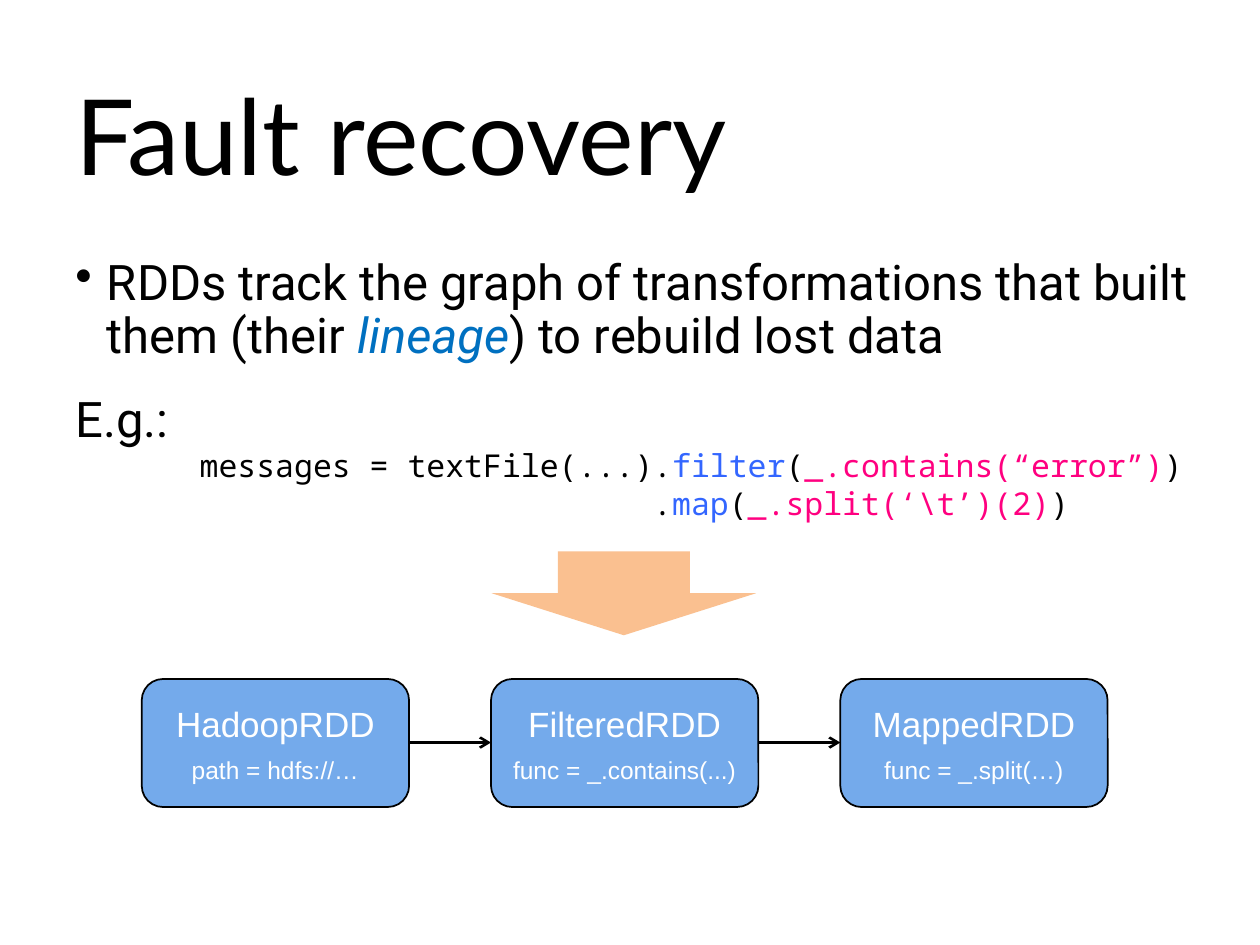
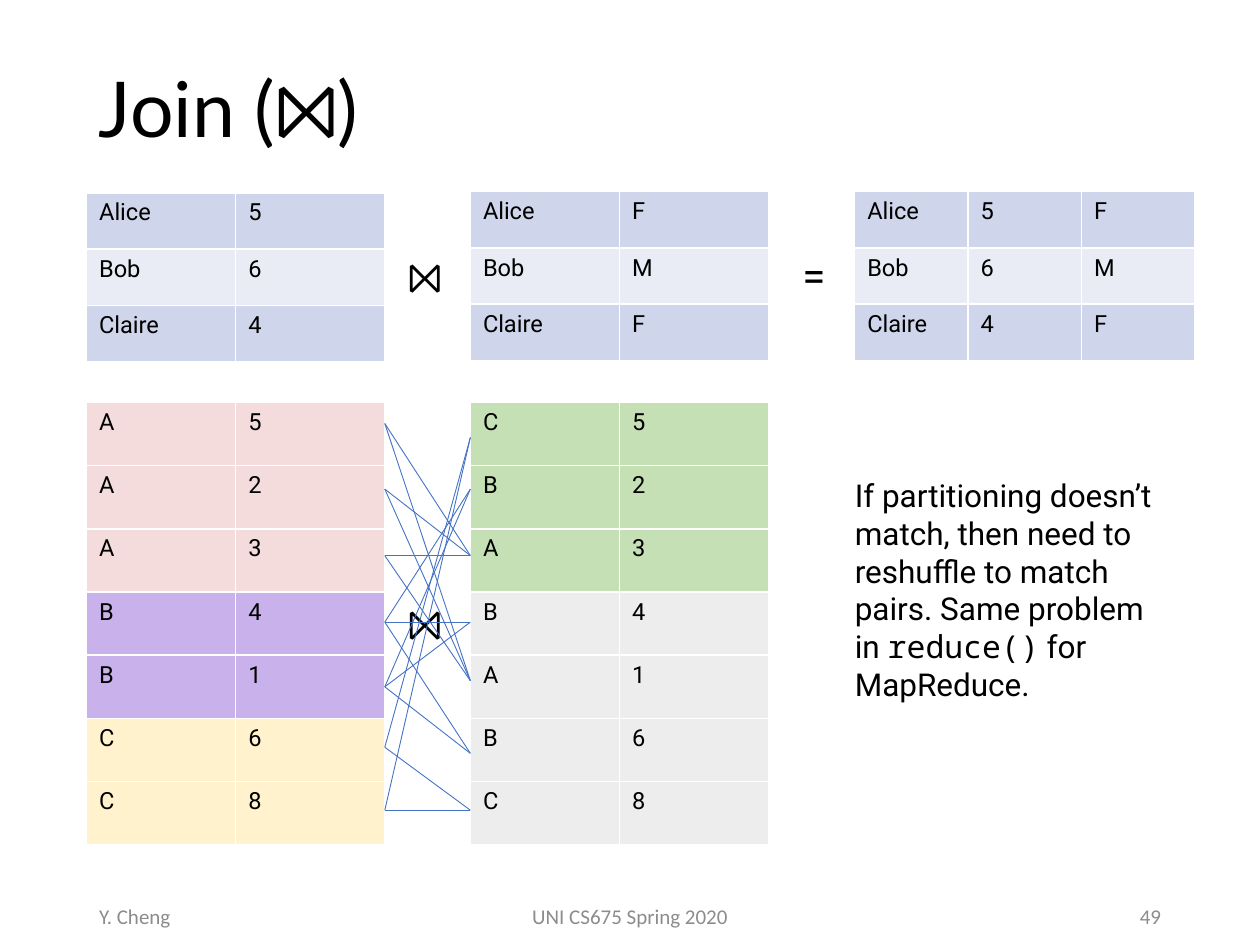
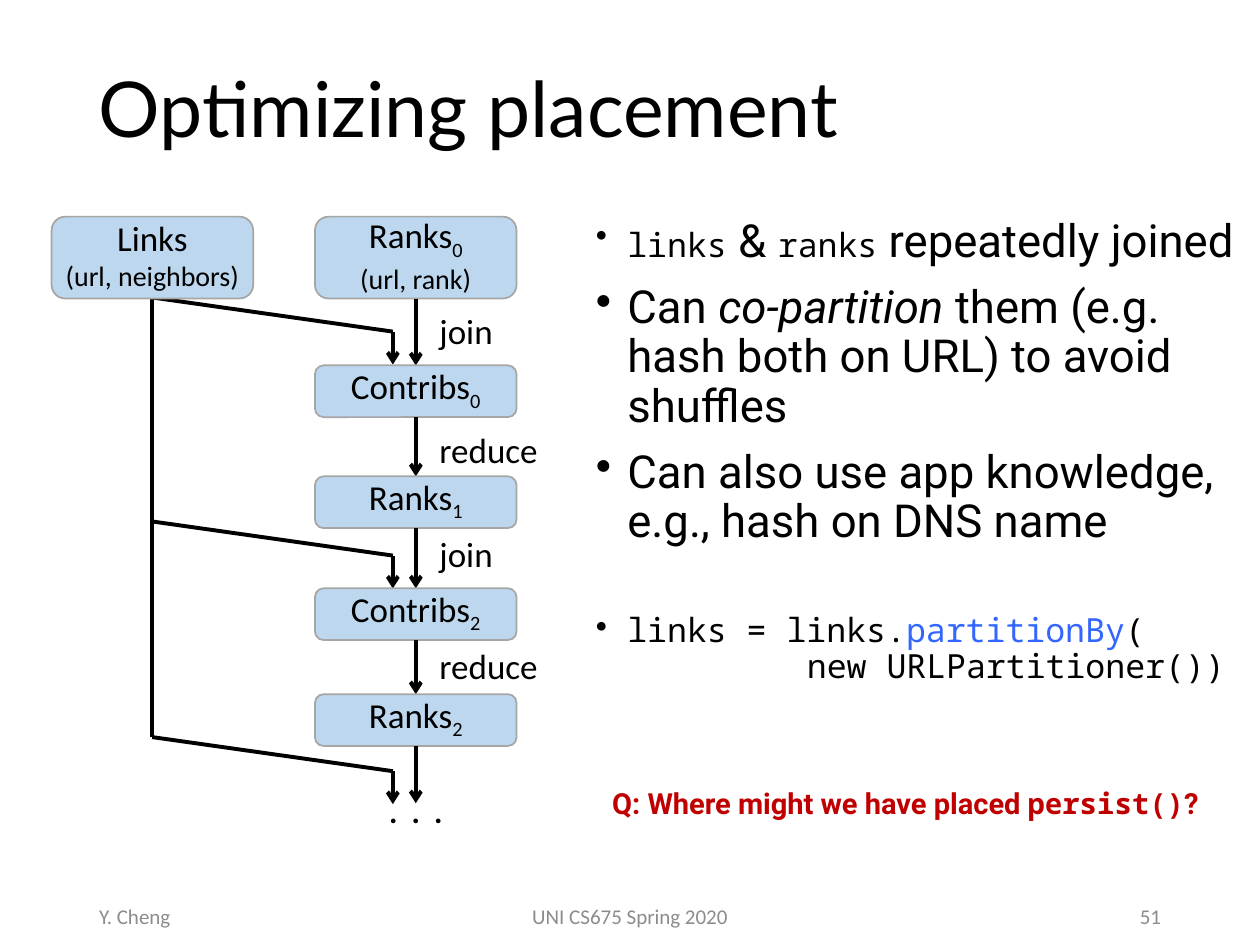
from dataclasses import dataclass
from typing import Optional

from lxml import etree
from pptx import Presentation
from pptx.dml.color import RGBColor
from pptx.enum.shapes import MSO_CONNECTOR, MSO_SHAPE
from pptx.enum.text import MSO_ANCHOR, PP_ALIGN
from pptx.oxml.ns import qn
from pptx.util import Pt

ROUNDED, DOWN_ARROW = MSO_SHAPE.ROUNDED_RECTANGLE, MSO_SHAPE.DOWN_ARROW
STRAIGHT = MSO_CONNECTOR.STRAIGHT
TOP, MIDDLE = MSO_ANCHOR.TOP, MSO_ANCHOR.MIDDLE
LEFT, CENTER, RIGHT = PP_ALIGN.LEFT, PP_ALIGN.CENTER, PP_ALIGN.RIGHT

COLORS = {
    "black": "000000", "white": "FFFFFF", "footer": "8C8C8C",
    "lineage": "0070C0", "method": "3366FF", "argument": "FF0080",
    "question": "C00000", "arrow": "FAC090", "dataset": "74AAEB",
    "stage": "BDD7EE", "stage_edge": "A6A6A6", "match": "4472C4",
    "band_dark": "CFD5EA", "band_light": "E9EBF5",
    "pink": "F3DCDB", "purple": "C9B2EC", "yellow": "FFF2CC",
    "green": "C5E0B4", "gray": "EDEDED",
}
HEADING, BODY, CODE, DIAGRAM, LABEL = (
    "Lato", "Roboto", "Noto Sans Mono", "Calibri", "Arial")
MONO_ADVANCE = 0.6
HANG = 18
DEFAULT_INSETS = (7.2, 3.6, 7.2, 3.6)
JOIN_SIGN = "\u2a1d"


@dataclass
class Span:
    """A stretch of text; empty fields follow the paragraph."""
    text: str
    color: Optional[str] = None
    font: Optional[str] = None
    size: Optional[float] = None
    italic: Optional[bool] = None
    baseline: int = 0
    tracking: float = 0


@dataclass
class Para:
    """A paragraph of spans with its shared look."""
    spans: list
    size: float
    font: str = BODY
    color: str = "black"
    bold: bool = False
    align: int = LEFT
    before: float = 0
    spacing: float = 1
    indent: float = 0
    bullet: bool = False


def rgb(name):
    """Look up a palette colour."""
    return RGBColor.from_string(COLORS[name])


def write_span(paragraph, span):
    """Add one run and set only what differs from its paragraph."""
    run = paragraph.add_run()
    run.text = span.text
    if span.color:
        run.font.color.rgb = rgb(span.color)
    if span.font:
        run.font.name = span.font
    if span.size:
        run.font.size = Pt(span.size)
    if span.italic:
        run.font.italic = True
    if span.baseline:
        run.font._element.set("baseline", str(span.baseline * 1000))
    if span.tracking:
        run.font._element.set("spc", str(int(span.tracking * 100)))


def write_paragraph(paragraph, para):
    """Format a paragraph and write its spans."""
    properties = paragraph._p.get_or_add_pPr()
    if para.bullet:
        properties.set("marL", str(Pt(HANG)))
        properties.set("indent", str(-Pt(HANG)))
        etree.SubElement(properties, qn("a:buChar"), char="•")
    elif para.indent:
        properties.set("marL", str(Pt(para.indent)))
    paragraph.alignment = para.align
    paragraph.line_spacing = para.spacing
    paragraph.space_before = Pt(para.before)
    paragraph.font.name = para.font
    paragraph.font.size = Pt(para.size)
    paragraph.font.bold = para.bold
    paragraph.font.color.rgb = rgb(para.color)
    for span in para.spans:
        write_span(paragraph, span)


def write_frame(frame, paras, anchor=TOP, insets=DEFAULT_INSETS, wrap=True):
    """Fill a text frame with paragraphs."""
    frame.word_wrap = wrap
    frame.vertical_anchor = anchor
    (frame.margin_left, frame.margin_top,
     frame.margin_right, frame.margin_bottom) = map(Pt, insets)
    for index, para in enumerate(paras):
        paragraph = frame.add_paragraph() if index else frame.paragraphs[0]
        write_paragraph(paragraph, para)


def add_text(page, bounds, paras, anchor=TOP, wrap=True):
    """Add a text box."""
    box = page.shapes.add_textbox(*map(Pt, bounds))
    write_frame(box.text_frame, paras, anchor, wrap=wrap)


def add_block(page, kind, bounds, fill, edge=None, paras=(),
              insets=DEFAULT_INSETS):
    """Add a filled preset shape with optional edge and text."""
    block = page.shapes.add_shape(kind, *map(Pt, bounds))
    block.shadow.inherit = False
    block.fill.solid()
    block.fill.fore_color.rgb = rgb(fill)
    if edge:
        block.line.color.rgb = rgb(edge)
        block.line.width = Pt(1)
    else:
        block.line.fill.background()
    write_frame(block.text_frame, paras, MIDDLE, insets)


def add_line(page, start, end, width, color="black", arrow=False):
    """Add a straight line, with an open arrowhead at its end if asked."""
    line = page.shapes.add_connector(STRAIGHT, *map(Pt, (*start, *end)))
    line.line.color.rgb = rgb(color)
    line.line.width = Pt(width)
    if arrow:
        etree.SubElement(line.line._get_or_add_ln(), qn("a:tailEnd"),
                         type="arrow")
    etree.SubElement(line._element.spPr, qn("a:effectLst"))


def set_cell_borders(cell):
    """Draw thin white borders around a cell."""
    properties = cell._tc.get_or_add_tcPr()
    for position, side in enumerate(("lnL", "lnR", "lnT", "lnB")):
        border = etree.Element(qn(f"a:{side}"), w=str(Pt(1)))
        fill = etree.SubElement(border, qn("a:solidFill"))
        etree.SubElement(fill, qn("a:srgbClr"), val=COLORS["white"])
        properties.insert(position, border)


def add_grid(page, left, top, column_width, row_height, rows, fills):
    """Add a table with one fill for each row."""
    columns = len(rows[0])
    table = page.shapes.add_table(
        len(rows), columns, Pt(left), Pt(top),
        Pt(column_width * columns), Pt(row_height * len(rows))).table
    table.first_row = table.horz_banding = False
    for column in table.columns:
        column.width = Pt(column_width)
    for row, values, fill in zip(table.rows, rows, fills):
        row.height = Pt(row_height)
        for cell, value in zip(row.cells, values):
            cell.fill.solid()
            cell.fill.fore_color.rgb = rgb(fill)
            set_cell_borders(cell)
            write_paragraph(cell.text_frame.paragraphs[0],
                            Para([Span(value)], 13.5))


def add_title(page, text, bounds=(49.5, 12, 621, 104.4), size=44):
    """Add the slide title."""
    title = Para([Span(text)], size, HEADING, spacing=0.9)
    add_text(page, bounds, [title], MIDDLE)


def add_footer(page, number):
    """Add author, course and page number."""
    for left, width, text, align in (
            (49.5, 162, "Y. Cheng", LEFT),
            (238.5, 243, "UNI CS675 Spring 2020", CENTER),
            (508.5, 162, number, RIGHT)):
        add_text(page, (left, 509, width, 28.8),
                 [Para([Span(text)], 12, DIAGRAM, "footer", align=align)],
                 MIDDLE)


def build_recovery(page):
    """Slide on lineage and fault recovery."""
    add_block(page, DOWN_ARROW, (281, 315, 151, 48), "arrow")
    add_text(page, (36, 144, 653.8, 179.3), [
        Para([Span("RDDs track the graph of transformations that built "
                   "them (their "),
              Span("lineage", "lineage", italic=True),
              Span(") to rebuild lost data")],
             28, before=18, spacing=0.9, bullet=True),
        Para([Span("E.g.:")], 28, before=18, spacing=0.9),
    ])
    add_text(page, (107, 251.3, 584, 72.7), [
        Para([Span("messages = textFile(...)."), Span("filter", "method"),
              Span("("), Span("_.contains(“error”)", "argument"), Span(")")],
             18, CODE),
        Para([Span("."), Span("map", "method"), Span("("),
              Span("_.split(‘\\t’)(2)", "argument"), Span(")")],
             18, CODE, indent=24 * 18 * MONO_ADVANCE),
    ])
    left, step, width, middle = 81, 199.6, 152.8, 424.3
    datasets = (("HadoopRDD", "path = hdfs://…"),
                ("FilteredRDD", "func = _.contains(...)"),
                ("MappedRDD", "func = _.split(…)"))
    for index, (name, detail) in enumerate(datasets):
        x = left + index * step
        add_block(page, ROUNDED, (x, 388, width, 73.2), "dataset", "black", [
            Para([Span(name)], 20, LABEL, "white", align=CENTER),
            Para([Span(detail)], 14, LABEL, "white", align=CENTER, before=6),
        ], (0, 3.6, 0, 3.6))
        if index:
            add_line(page, (x - step + width, middle), (x, middle), 1.5,
                     arrow=True)
    add_title(page, "Fault recovery", (36, 36, 648, 90), 60)


def build_join(page):
    """Slide on joins and partitioning."""
    add_title(page, f"Join ({JOIN_SIGN})")
    add_footer(page, "49")
    left, right, column = 49.5, 268.8, 85.2
    ages = [("Alice", "5"), ("Bob", "6"), ("Claire", "4")]
    genders = [("Alice", "F"), ("Bob", "M"), ("Claire", "F")]
    joined = [(*age, gender) for age, (_, gender) in zip(ages, genders)]
    bands = ("band_dark", "band_light", "band_dark")
    add_grid(page, left, 110.2, column, 32.2, ages, bands)
    add_grid(page, right, 109.5, column, 32.2, genders, bands)
    add_grid(page, 488.4, 109.5, 64.8, 32.2, joined, bands)

    left_rows = list(zip("AAABBCC", "5234168"))
    right_rows = list(zip("CBABABC", "5234168"))
    add_grid(page, left, 230, column, 36.1, left_rows,
             ["pink"] * 3 + ["purple"] * 2 + ["yellow"] * 2)
    add_grid(page, right, 230, column, 36.1, right_rows,
             ["green"] * 3 + ["gray"] * 4)

    for x, y, sign in ((226, 139.5, JOIN_SIGN), (451.4, 139, "="),
                       (226, 338, JOIN_SIGN)):
        add_text(page, (x, y, 36, 36), [Para([Span(sign)], 24)])

    left_ends = (242, 279.5, 317.5, 355.5, 392.5, 427, 463)
    right_ends = (250, 279.5, 317.5, 355.5, 389, 430.5, 463)
    for (left_key, _), start in zip(left_rows, left_ends):
        for (right_key, _), end in zip(right_rows, right_ends):
            if left_key == right_key:
                add_line(page, (left + 2 * column, start), (right, end), 0.5,
                         "match")

    add_text(page, (481.4, 268.5, 189, 138), [
        Para([Span("If partitioning doesn’t match, then need to reshuffle "
                   "to match pairs. Same problem in "),
              Span("reduce()", font=CODE), Span(" for MapReduce.")], 18)])


def add_stage(page, left, top, height, name, index="", detail=""):
    """Add one dataset box of the placement diagram."""
    spans = [Span(name)]
    if index:
        spans.append(Span(index, baseline=-25))
    paras = [Para(spans, 20, DIAGRAM, align=CENTER)]
    if detail:
        paras.append(Para([Span(detail)], 16, DIAGRAM, align=CENTER))
    add_block(page, ROUNDED, (left, top, 115.2, height), "stage",
              "stage_edge", paras, (0, 0, 0, 3.6))


def add_placement_diagram(page):
    """Draw the chain of ranks and contributions fed by the links."""
    trunk, chain, branch, weight = 87, 237.6, 224.5, 2.25
    first_top, tall, low, end = 123.8, 46.8, 29.6, 459
    first_bottom = first_top + tall
    add_line(page, (trunk, first_bottom), (trunk, 421.2), weight)
    for y in (170, 298, 421.2):
        add_line(page, (trunk, y), (branch, y + 19.5), weight)
        add_line(page, (branch, y + 19.5), (branch, y + 38.3), weight,
                 arrow=True)

    add_stage(page, 29.5, first_top, tall, "Links", detail="(url, neighbors)")
    stages = (("Ranks", "0", first_top, tall, "(url, rank)"),
              ("Contribs", "0", 208.8, low, ""),
              ("Ranks", "1", 272.2, low, ""),
              ("Contribs", "2", 336.2, low, ""),
              ("Ranks", "2", 396.7, low, ""))
    next_tops = [stage[2] for stage in stages[1:]] + [end]
    for (name, index, top, height, detail), tip in zip(stages, next_tops):
        add_stage(page, 180, top, height, name, index, detail)
        add_line(page, (chain, top + height), (chain, tip), weight, arrow=True)

    for y, label, width in ((173.5, "join", 46.8), (241.4, "reduce", 71.3),
                            (301, "join", 46.8), (364.5, "reduce", 71.3)):
        add_text(page, (244, y, width, 31.5),
                 [Para([Span(label)], 20, DIAGRAM)], wrap=False)
    add_text(page, (200.2, 449.3, 74.9, 29), [
        Para([Span(". . .", tracking=2)], 18, DIAGRAM, bold=True,
             align=CENTER)])


def build_placement(page):
    """Slide on co-partitioning links and ranks."""
    add_title(page, "Optimizing placement")
    add_footer(page, "51")
    points = {"size": 26, "before": 10, "spacing": 0.9, "bullet": True}
    add_text(page, (333.4, 121, 380.2, 332.6), [
        Para([Span("links", font=CODE, size=19), Span(" & "),
              Span("ranks", font=CODE, size=19), Span(" repeatedly joined")],
             **points),
        Para([Span("Can "), Span("co-partition", italic=True),
              Span(" them (e.g. hash both on URL) to avoid shuffles")],
             **points),
        Para([Span("Can also use app knowledge, e.g., hash on DNS name")],
             **points),
        Para([Span("links = links."), Span("partitionBy", "method"),
              Span("(")], 19, CODE, before=38, spacing=0.9, bullet=True),
        Para([Span("new URLPartitioner())")], 19, CODE, spacing=0.9,
             indent=HANG + 9 * 19 * MONO_ADVANCE),
    ])
    add_placement_diagram(page)
    add_text(page, (342.7, 447.8, 361.4, 36), [
        Para([Span("Q: Where might we have placed "),
              Span("persist()", font=CODE), Span("?")],
             16.6, color="question", bold=True, before=10, spacing=0.9)])


def main():
    """Build and save the deck."""
    deck = Presentation()
    deck.slide_width, deck.slide_height = Pt(720), Pt(540)
    blank = deck.slide_layouts[6]
    for build in (build_recovery, build_join, build_placement):
        build(deck.slides.add_slide(blank))
    deck.save("out.pptx")


main()
